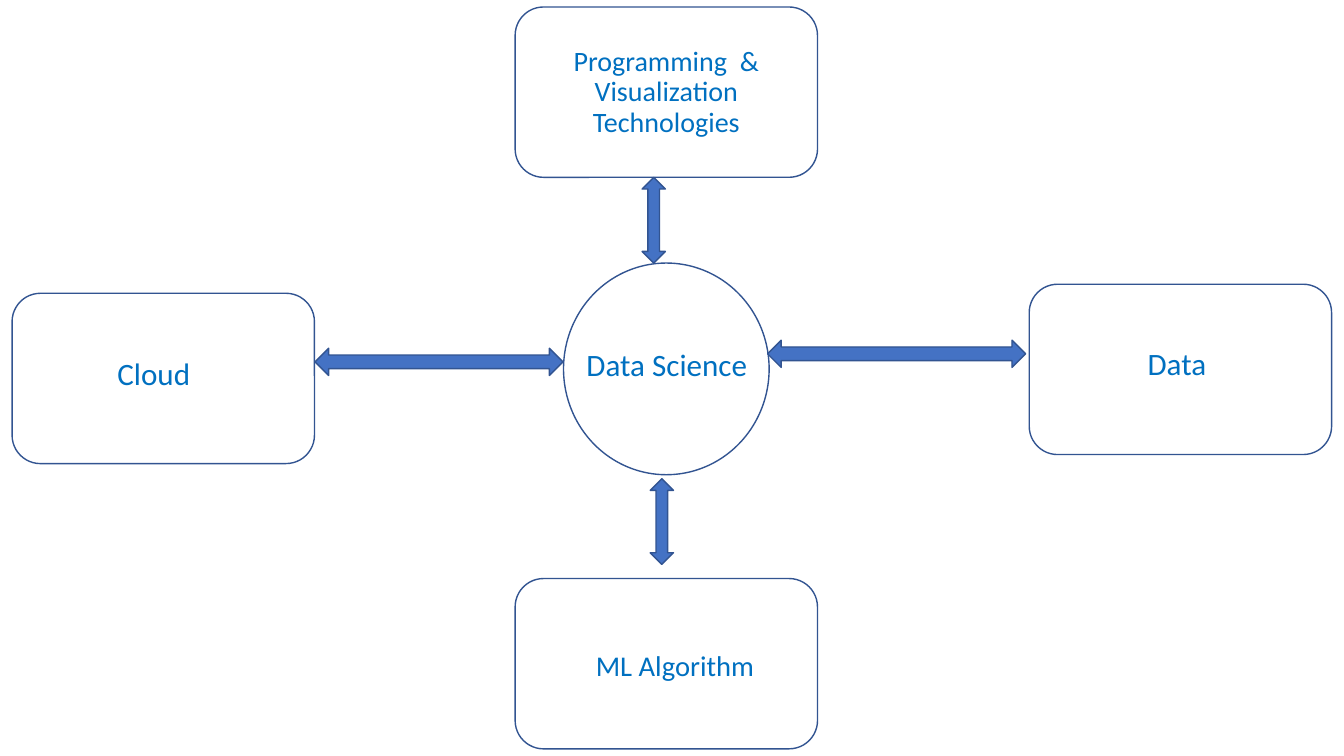
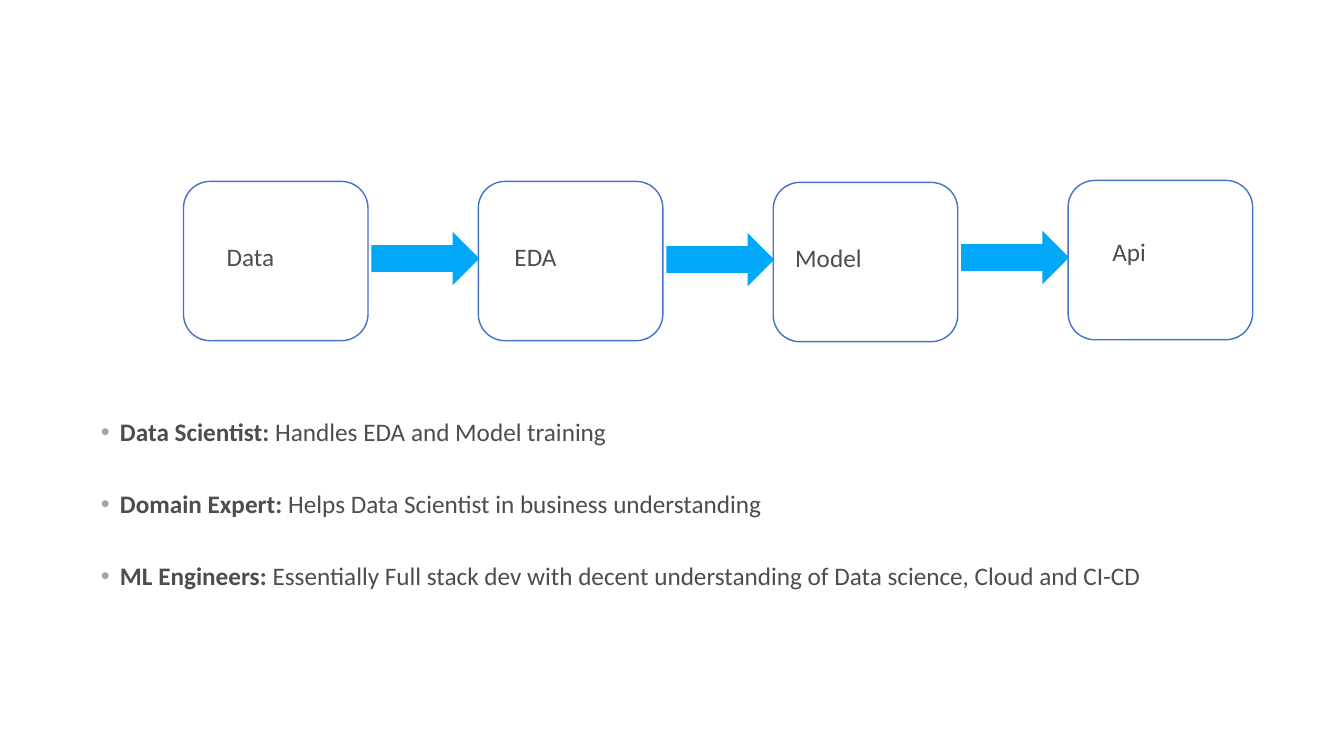
from lxml.etree import SubElement
from pptx import Presentation
from pptx.dml.color import RGBColor
from pptx.enum.shapes import MSO_SHAPE
from pptx.enum.text import MSO_ANCHOR, MSO_AUTO_SIZE, PP_ALIGN
from pptx.oxml.ns import qn
from pptx.util import Inches, Pt

# Shared look
FONT = "Calibri"
BLUE = RGBColor(0x00, 0x70, 0xC0)
NAVY = RGBColor(0x32, 0x54, 0x91)
ROYAL = RGBColor(0x44, 0x72, 0xC4)
SKY = RGBColor(0x00, 0xA8, 0xF7)
GREY = RGBColor(0x4D, 0x4D, 0x4D)
PALE = RGBColor(0xA5, 0xA5, 0xA5)

deck = Presentation()
deck.slide_width, deck.slide_height = Inches(13.33), Inches(7.5)
# All places are percent shares of the slide's width and height
COL, ROW = deck.slide_width / 100, deck.slide_height / 100


def draw(slide, kind, x, y, wide, high, fill=None, line=None):
    """Add a preset shape, or a text box when kind is None."""
    area = [int(v) for v in (x * COL, y * ROW, wide * COL, high * ROW)]
    if kind is None:
        return slide.shapes.add_textbox(*area)
    shape = slide.shapes.add_shape(kind, *area)
    shape.shadow.inherit = False
    if fill is None:
        shape.fill.background()
    else:
        shape.fill.solid()
        shape.fill.fore_color.rgb = fill
    if line is None:
        shape.line.fill.background()
    else:
        shape.line.color.rgb = line
        shape.line.width = Pt(1)
    return shape


def write(shape, text, size=18, color=GREY, align=PP_ALIGN.LEFT, anchor=MSO_ANCHOR.TOP,
          lead=1.0, before=0, after=0, bullet=None):
    """Fill a shape; text is a list of paragraphs, each a list of (words, bold)."""
    frame = shape.text_frame
    frame.word_wrap = True
    frame.auto_size = MSO_AUTO_SIZE.NONE
    frame.vertical_anchor = anchor
    for i, parts in enumerate(text):
        para = frame.add_paragraph() if i else frame.paragraphs[0]
        para.alignment, para.line_spacing = align, lead
        para.space_before, para.space_after = Pt(before), Pt(after)
        props = para._p.get_or_add_pPr()
        dent = Inches(0.19) if bullet else 0
        props.set("marL", str(dent))
        props.set("indent", str(-dent))
        if bullet:
            tint = SubElement(props, qn("a:buClr"))
            SubElement(tint, qn("a:srgbClr")).set("val", str(PALE))
            SubElement(props, qn("a:buFont")).set("typeface", "Arial")
            SubElement(props, qn("a:buChar")).set("char", bullet)
        else:
            SubElement(props, qn("a:buNone"))
        for words, bold in parts:
            run = para.add_run()
            run.text = words
            run.font.name, run.font.size, run.font.bold = FONT, Pt(size), bold
            run.font.color.rgb = color


# Both slides use the body placeholder without a title
slides, bodies = [], []
for x, y, wide, high in ((42.75, 46.13, 13.73, 5.33), (6.75, 54.4, 91.88, 24.53)):
    slide = deck.slides.add_slide(deck.slide_layouts[1])
    title = slide.shapes.title._element
    title.getparent().remove(title)
    body = slide.placeholders[1]
    body.left, body.top = int(x * COL), int(y * ROW)
    body.width, body.height = int(wide * COL), int(high * ROW)
    slides.append(slide)
    bodies.append(body)
hub, flow = slides

# Hub: circle and its name
MID = dict(color=BLUE, align=PP_ALIGN.CENTER, anchor=MSO_ANCHOR.MIDDLE, before=10)
draw(hub, MSO_SHAPE.OVAL, 41.93, 34.8, 15.3, 28, line=NAVY)
write(bodies[0], [[("Data Science", False)]], size=22.2, lead=0.7, **MID)

# Hub: four fields (box corner, label corner and width, size, line spacing)
fields = [
    ("Programming  & Visualization Technologies", 38.33, 0.93, 38.33, 9.6, 22.5, 20, 0.9),
    ("Data", 76.58, 37.6, 80.7, 46, 13.73, 22.2, 0.7),
    ("ML Algorithm", 38.33, 76.53, 43.35, 85.73, 13.73, 20.4, 0.8),
    ("Cloud", 0.9, 38.8, 4.58, 47.33, 13.73, 22.2, 0.7),
]
for name, x, y, left, top, wide, size, lead in fields:
    draw(hub, MSO_SHAPE.ROUNDED_RECTANGLE, x, y, 22.5, 22.53, line=NAVY)
    label = draw(hub, None, left, top, wide, 5.33)
    write(label, [[(name, False)]], size=size, lead=lead, **MID)

# Hub: two-way arrows
for x, y in ((47.78, 23.47), (48.38, 63.33)):
    draw(hub, MSO_SHAPE.UP_DOWN_ARROW, x, y, 1.73, 11.33, ROYAL, NAVY)
for x, y, wide in ((57.11, 45, 19.2), (23.44, 46.07, 18.45)):
    draw(hub, MSO_SHAPE.LEFT_RIGHT_ARROW, x, y, wide, 3.6, ROYAL, NAVY)

# Flow: steps (name, box top, label offset), each after the first led by an arrow
steps = [("Data", 24, 2.48, 7.2), ("EDA", 24, 1.95, 7.2),
         ("Model", 24.13, 0.9, 7.2), ("Api", 23.87, 2.55, 6.67)]
for i, (name, top, right, down) in enumerate(steps):
    left = 13.65 + 21.94 * i
    draw(flow, MSO_SHAPE.ROUNDED_RECTANGLE, left, top, 13.73, 21.07, line=ROYAL)
    label = draw(flow, None, left + right, top + down, 8.78, 6.67)
    write(label, [[(name, False)]], after=4)
    if i:
        draw(flow, MSO_SHAPE.RIGHT_ARROW, left - 7.95, top + 6.67, 8.03, 7.07, SKY)

# Flow: roles
roles = [
    ("Data Scientist: ", "Handles EDA and Model training"),
    ("Domain Expert: ", "Helps Data Scientist in business understanding"),
    ("ML Engineers: ", "Essentially Full stack dev with decent understanding of "
                       "Data science, Cloud and CI-CD"),
]
write(bodies[1], [[(role, True), (task, False)] for role, task in roles], after=30, bullet="•")

deck.save("out.pptx")
